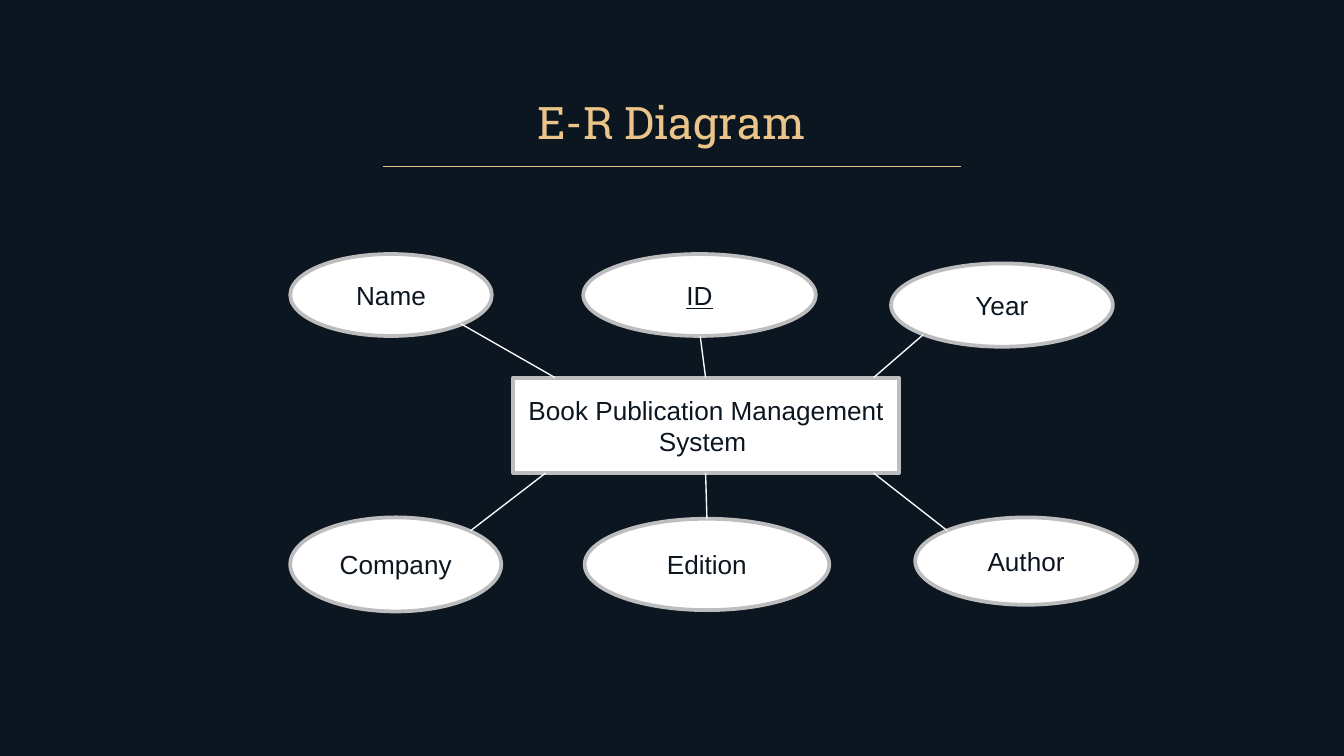
from lxml import etree
from pptx import Presentation
from pptx.dml.color import RGBColor
from pptx.enum.shapes import MSO_CONNECTOR as Connector, MSO_SHAPE as Shape
from pptx.enum.text import MSO_ANCHOR as Anchor, PP_ALIGN as Align
from pptx.oxml.ns import qn
from pptx.util import Inches, Pt

NAVY, GOLD, WHITE, GREY, PALE = "0C1621", "EAC488", "FFFFFF", "BDBDBD", "F9F9F9"

# Entity: text and box (left, top, width, height)
ENTITY = ("Book Publication Management System ", (3.82, 2.81, 2.87, 0.71))

# Attributes: text, box, link start on the entity, link end on the attribute
ATTRIBUTES = [
    ("Name", (2.16, 1.89, 1.5, 0.61), (4.13, 2.81), (3.43, 2.41)),
    ("ID", (4.34, 1.89, 1.73, 0.61), (5.25, 2.81), (5.21, 2.5)),
    ("Year", (6.63, 1.96, 1.65, 0.62), (6.5, 2.81), (6.87, 2.49)),
    ("Company", (2.16, 3.85, 1.57, 0.7), (4.06, 3.52), (3.5, 3.95)),
    ("Edition", (4.35, 3.86, 1.82, 0.68), (5.25, 3.52), (5.26, 3.86)),
    ("Author", (6.81, 3.85, 1.65, 0.65), (6.5, 3.52), (7.05, 3.95)),
]
KEY_ATTRIBUTE = "ID"


def color(hex_value):
    return RGBColor.from_string(hex_value)


def set_text(shape, text, font_name, size, hex_value, underline=None):
    """Write one centred paragraph and format its run."""
    text_frame = shape.text_frame
    text_frame.text = text
    text_frame.word_wrap = True
    text_frame.vertical_anchor = Anchor.MIDDLE
    paragraph = text_frame.paragraphs[0]
    paragraph.alignment = Align.CENTER
    font = paragraph.runs[0].font
    font.name, font.size, font.underline = font_name, Pt(size), underline
    font.color.rgb = color(hex_value)


def add_title(slide, text, box):
    title = slide.shapes.title
    title.left, title.top, title.width, title.height = map(Inches, box)
    set_text(title, text, "Roboto Slab", 24, GOLD)
    text_frame = title.text_frame
    text_frame.margin_left = text_frame.margin_right = Inches(0.1)
    text_frame.margin_top = text_frame.margin_bottom = Inches(0.1)


def add_node(slide, kind, text, box):
    node = slide.shapes.add_shape(kind, *map(Inches, box))
    node.shadow.inherit = False
    node.fill.solid()
    node.fill.fore_color.rgb = color(WHITE)
    node.line.color.rgb = color(GREY)
    node.line.width = Pt(2)
    underline = True if text == KEY_ATTRIBUTE else None
    set_text(node, text, "Arial", 14, NAVY, underline)


def add_line(slide, start, end, hex_value):
    line = slide.shapes.add_connector(
        Connector.STRAIGHT, *map(Inches, start + end))
    line.line.color.rgb = color(hex_value)
    line.line.width = Pt(0.75)
    etree.SubElement(line._element.spPr, qn("a:effectLst"))


def main():
    # Widescreen page, 16:9
    presentation = Presentation()
    presentation.slide_width = Inches(10)
    presentation.slide_height = Inches(10 * 9 / 16)
    slide = presentation.slides.add_slide(presentation.slide_layouts[5])
    slide.background.fill.solid()
    slide.background.fill.fore_color.rgb = color(NAVY)

    # Title with its rule
    add_line(slide, (2.85, 1.24), (7.15, 1.24), GOLD)
    add_title(slide, "E-R Diagram", (2.4, 0.45, 5.19, 0.91))

    # Entity, its attributes and the links between them
    add_node(slide, Shape.RECTANGLE, *ENTITY)
    for text, box, start, end in ATTRIBUTES:
        add_node(slide, Shape.OVAL, text, box)
        add_line(slide, start, end, PALE)

    presentation.save("out.pptx")


if __name__ == "__main__":
    main()
